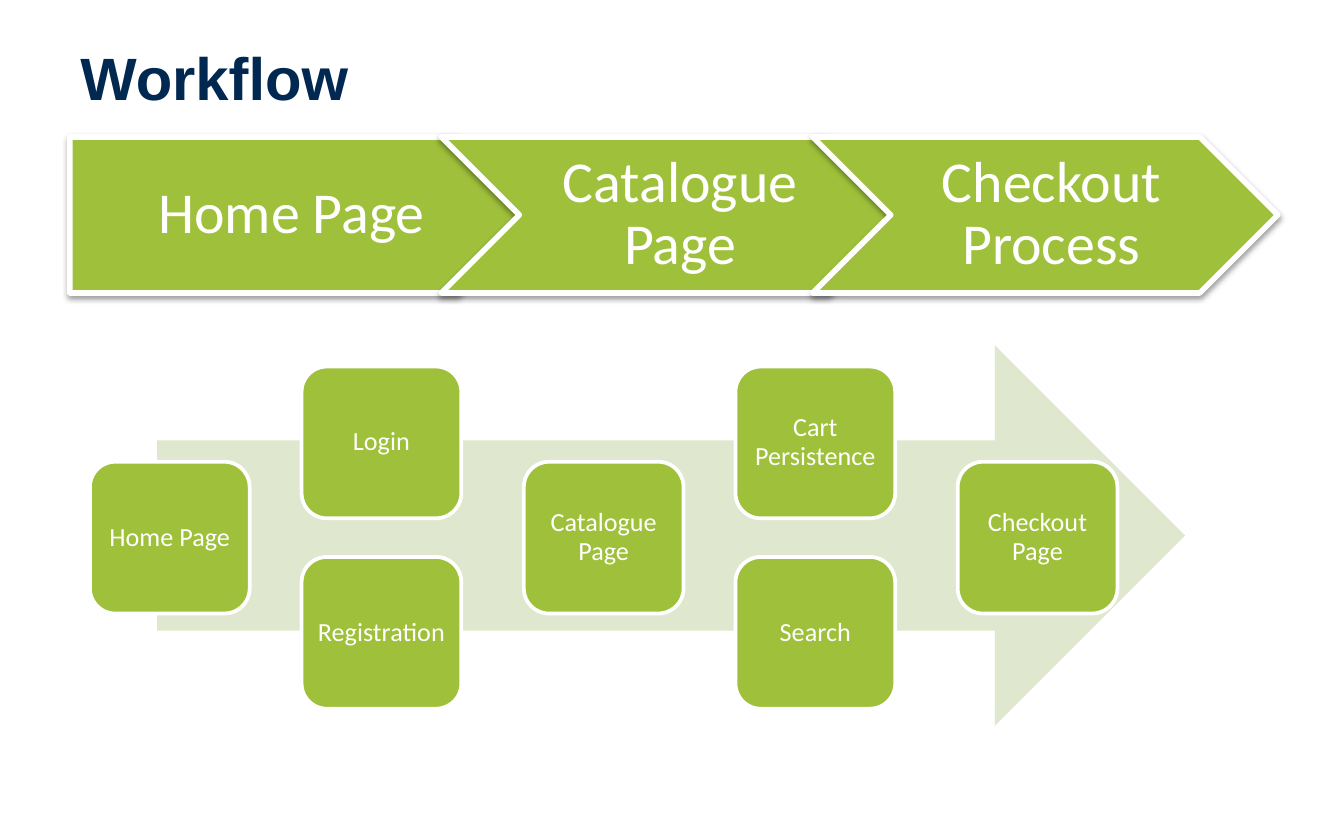
"""Build the Workflow slide: three page stages above a detailed page flow."""
from dataclasses import dataclass

from lxml import etree
from pptx import Presentation
from pptx import util as u
from pptx.dml.color import RGBColor
from pptx.enum import shapes, text
from pptx.oxml import ns

NAVY = RGBColor(0x00, 0x28, 0x50)
GREEN = RGBColor(0x9F, 0xC0, 0x3B)
PALE_GREEN = RGBColor(0xDF, 0xE8, 0xCE)
WHITE = RGBColor(0xFF, 0xFF, 0xFF)
BLACK = RGBColor(0x00, 0x00, 0x00)

STAGE_LEFT, STAGE_TOP, STAGE_STEP = 1.32, 2.59, 7.02
STAGE_WIDTH, STAGE_HEIGHT = 8.79, 2.95
CARD_LEFT, CARD_TOP = 1.7, 6.93
CARD_PERIOD, CARD_OFFSET, ROW_STEP = 8.2, 4.0, 1.8
CARD_WIDTH, CARD_HEIGHT = 3.02, 2.87


@dataclass(frozen=True)
class Stage:
    label: str
    outline: shapes.MSO_SHAPE
    left_inset: float


@dataclass(frozen=True)
class Card:
    label: str
    column: int
    row: int


STAGES = (
    Stage("Home Page", shapes.MSO_SHAPE.PENTAGON, 0.46),
    Stage("Catalogue Page", shapes.MSO_SHAPE.CHEVRON, 0.36),
    Stage("Checkout Process", shapes.MSO_SHAPE.CHEVRON, 0.36),
)
CARDS = (
    Card("Home Page", 0, 1),
    Card("Login", 1, 0),
    Card("Catalogue Page", 2, 1),
    Card("Search", 3, 2),
    Card("Checkout Page", 4, 1),
    Card("Registration", 1, 2),
    Card("Cart Persistence", 3, 0),
)


def write_text(box, label: str, *, size: float, font: str = "Calibri",
               color: RGBColor = WHITE, bold: bool = False,
               align=text.PP_ALIGN.CENTER, spacing: float = 0.9,
               insets: tuple = (0.15, 0.15, 0.15, 0.15)) -> None:
    """Fill a box with one formatted, vertically centred paragraph."""
    frame = box.text_frame
    frame.word_wrap = True
    frame.vertical_anchor = text.MSO_ANCHOR.MIDDLE
    (frame.margin_left, frame.margin_top,
     frame.margin_right, frame.margin_bottom) = map(u.Cm, insets)
    para = frame.paragraphs[0]
    para.alignment = align
    para.line_spacing = spacing
    span = para.add_run()
    span.text = label
    span.font.size = u.Pt(size)
    span.font.name = font
    span.font.bold = bold
    span.font.color.rgb = color


def add_block(page, outline, left: float, top: float, width: float,
              height: float, fill: RGBColor, border: float = 0):
    """Add a filled preset shape with an optional white border."""
    block = page.shapes.add_shape(
        outline, u.Cm(left), u.Cm(top), u.Cm(width), u.Cm(height))
    block.shadow.inherit = False
    block.fill.solid()
    block.fill.fore_color.rgb = fill
    if border:
        block.line.color.rgb = WHITE
        block.line.width = u.Pt(border)
    else:
        block.line.fill.background()
    return block


def add_shadow(block) -> None:
    """Give a block a soft shadow straight below it."""
    effects = block.element.spPr.find(ns.qn("a:effectLst"))
    shadow = etree.SubElement(
        effects, ns.qn("a:outerShdw"), blurRad=str(u.Pt(3.1)),
        dist=str(u.Pt(1.6)), dir="5400000", rotWithShape="0")
    color = etree.SubElement(shadow, ns.qn("a:srgbClr"), val=str(BLACK))
    etree.SubElement(color, ns.qn("a:alpha"), val="38000")


def draw_stage(page, stage: Stage, index: int) -> None:
    """Draw one large stage of the upper process band."""
    block = add_block(page, stage.outline, STAGE_LEFT + index * STAGE_STEP,
                      STAGE_TOP, STAGE_WIDTH, STAGE_HEIGHT, GREEN, 3)
    add_shadow(block)
    write_text(block, stage.label, size=31,
               insets=(stage.left_inset, 0.23, 0.13, 0.23))


def draw_card(page, card: Card) -> None:
    """Draw one rounded card at its column and row."""
    period, half = divmod(card.column, 2)
    left = CARD_LEFT + period * CARD_PERIOD + half * CARD_OFFSET
    block = add_block(page, shapes.MSO_SHAPE.ROUNDED_RECTANGLE, left,
                      CARD_TOP + card.row * ROW_STEP,
                      CARD_WIDTH, CARD_HEIGHT, GREEN, 2)
    write_text(block, card.label, size=14)


def main() -> None:
    """Assemble and save the slide."""
    deck = Presentation()
    deck.slide_width, deck.slide_height = u.Cm(25.4), u.Cm(15.88)
    page = deck.slides.add_slide(deck.slide_layouts[6])
    title = page.shapes.add_textbox(u.Cm(1.27), u.Cm(0.64), u.Cm(22.86), u.Cm(1.63))
    write_text(title, "Workflow", size=32, font="Arial", color=NAVY, bold=True,
               align=text.PP_ALIGN.LEFT, spacing=1.0,
               insets=(0.25, 0.13, 0.25, 0.13))
    for index, stage in enumerate(STAGES):
        draw_stage(page, stage, index)
    add_block(page, shapes.MSO_SHAPE.RIGHT_ARROW, 2.97, 6.53, 19.43, 7.19, PALE_GREEN)
    for card in CARDS:
        draw_card(page, card)
    deck.save("out.pptx")


if __name__ == "__main__":
    main()
